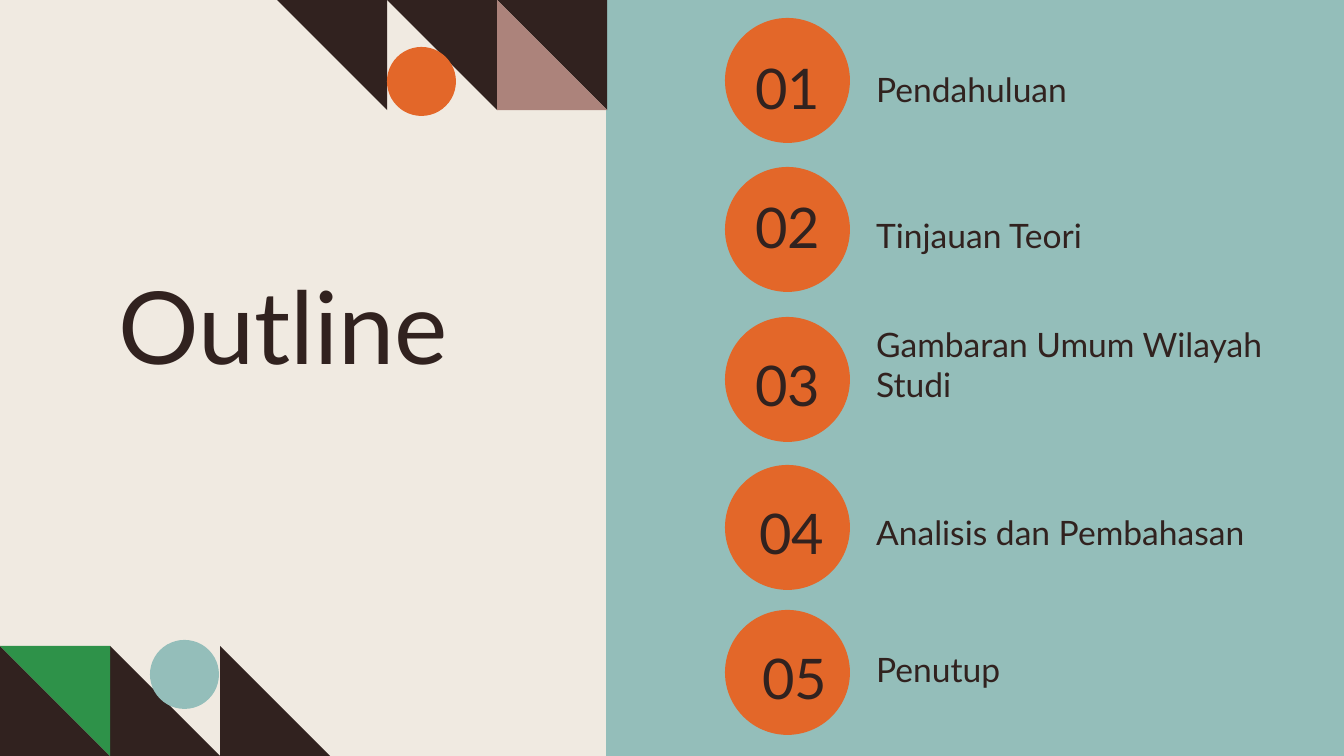
from pptx import Presentation
from pptx.dml.color import RGBColor
from pptx.enum.shapes import MSO_SHAPE as SHAPE
from pptx.enum.text import MSO_ANCHOR as ANCHOR, PP_ALIGN as ALIGN
from pptx.util import Inches, Pt

PX = 914400 / 134.4
WIDTH, HEIGHT = 1344, 756
DARK, CREAM, TEAL = "31221F", "F0EAE1", "94BEBA"
ORANGE, MAUVE, GREEN = "E36729", "AC837B", "2E9249"
TILE, DOT, CIRCLE = 110, 69, 125

# label, circle top, number offset in circle (x, y), label top offset, label width
CHAPTERS = [
    ("Pendahuluan", 18, (6, 34), 34, 358),
    ("Tinjauan Teori", 167, (6, 24), 31, 358),
    ("Gambaran Umum Wilayah Studi", 317, (6, 32), 30, 465),
    ("Analisis dan Pembahasan", 465, (10, 32), 30, 434),
    ("Penutup", 610, (13, 32), 22, 358),
]


def px(*lengths):
    return [round(n * PX) for n in lengths]


def color(fmt, value):
    fmt.rgb = RGBColor.from_string(value)


def add_shape(s, kind, box, fill, rotation=0):
    sp = s.shapes.add_shape(kind, *px(*box))
    sp.shadow.inherit = False
    sp.fill.solid()
    color(sp.fill.fore_color, fill)
    sp.line.fill.background()
    sp.rotation = rotation
    return sp


def add_text(s, text, box, size, anchor, align=ALIGN.LEFT):
    tf = s.shapes.add_textbox(*px(*box)).text_frame
    tf.word_wrap = True
    tf.vertical_anchor = anchor
    tf.margin_left = tf.margin_right = Inches(0.1)
    tf.margin_top = tf.margin_bottom = Inches(0.1)
    tf.text = text
    p = tf.paragraphs[0]
    p.alignment = align
    font = p.runs[0].font
    font.name, font.size = "Lato", Pt(size)
    color(font.color, DARK)


def corner_pattern(s, x, y, rotation, dot, dot_fill, accent_col, accent_fill):
    """Three dark triangles with a dot and one tile completed in an accent."""
    for col in range(3):
        add_shape(s, SHAPE.RIGHT_TRIANGLE, (x + col * TILE, y, TILE, TILE), DARK, rotation)
    add_shape(s, SHAPE.OVAL, (x + dot[0], y + dot[1], DOT, DOT), dot_fill)
    add_shape(s, SHAPE.RIGHT_TRIANGLE, (x + accent_col * TILE, y, TILE, TILE),
              accent_fill, 180 - rotation)


def chapter_row(s, x, y, number, label, number_offset, label_offset, label_width):
    dx, dy = number_offset
    add_shape(s, SHAPE.OVAL, (x, y, CIRCLE, CIRCLE), ORANGE)
    add_text(s, f"{number:02}", (x + dx, y + dy, 114, 71), 30, ANCHOR.MIDDLE, ALIGN.CENTER)
    add_text(s, label, (x + 138, y + label_offset, label_width, 71), 18, ANCHOR.BOTTOM)


def outline_slide(prs):
    s = prs.slides.add_slide(prs.slide_layouts[6])
    s.background.fill.solid()
    color(s.background.fill.fore_color, CREAM)
    add_shape(s, SHAPE.RECTANGLE, (606, 0, WIDTH - 606, HEIGHT), TEAL)
    add_text(s, "Outline", (105, 250, 435, 257), 54, ANCHOR.TOP)
    corner_pattern(s, 277, 0, 180, (110, 47), ORANGE, 2, MAUVE)
    corner_pattern(s, 0, HEIGHT - TILE, 0, (150, -6), TEAL, 0, GREEN)
    for number, (label, top, *layout) in enumerate(CHAPTERS, 1):
        chapter_row(s, 725, top, number, label, *layout)


def main():
    prs = Presentation()
    prs.slide_width, prs.slide_height = px(WIDTH, HEIGHT)
    outline_slide(prs)
    prs.save("out.pptx")


if __name__ == "__main__":
    main()
